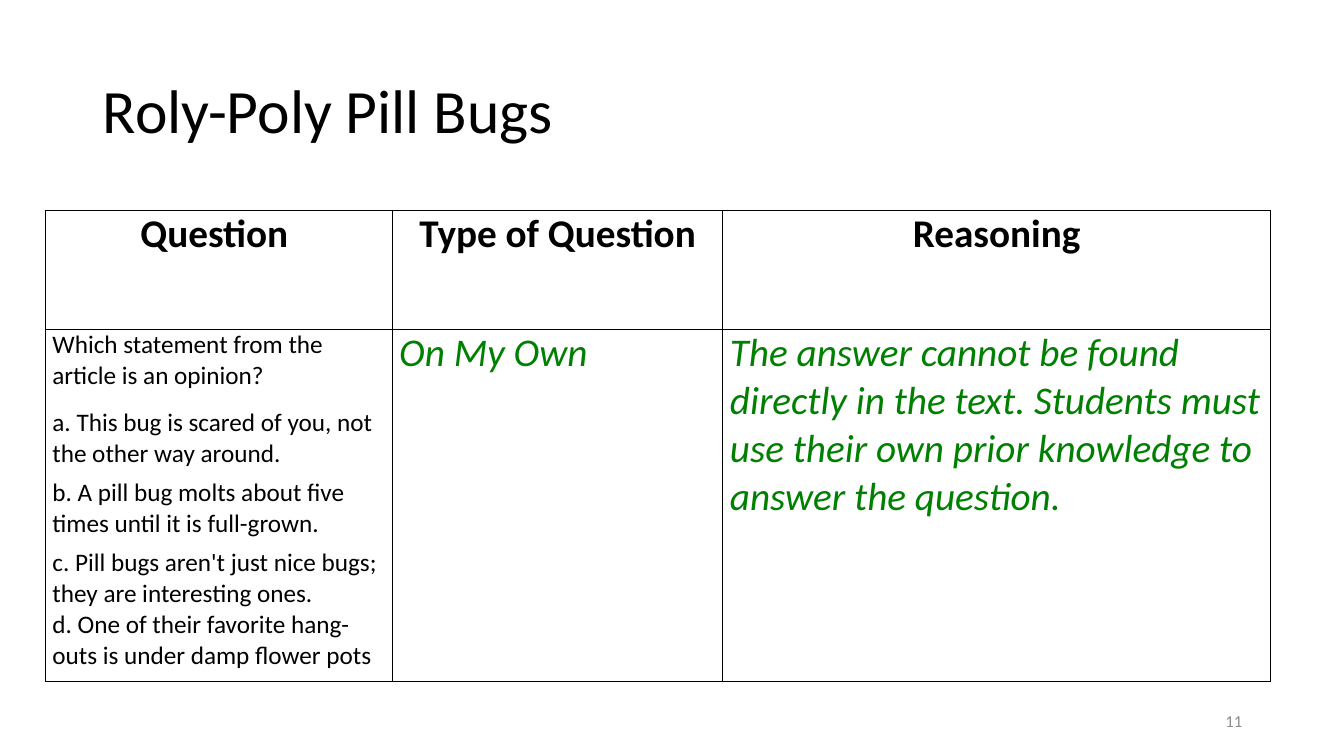
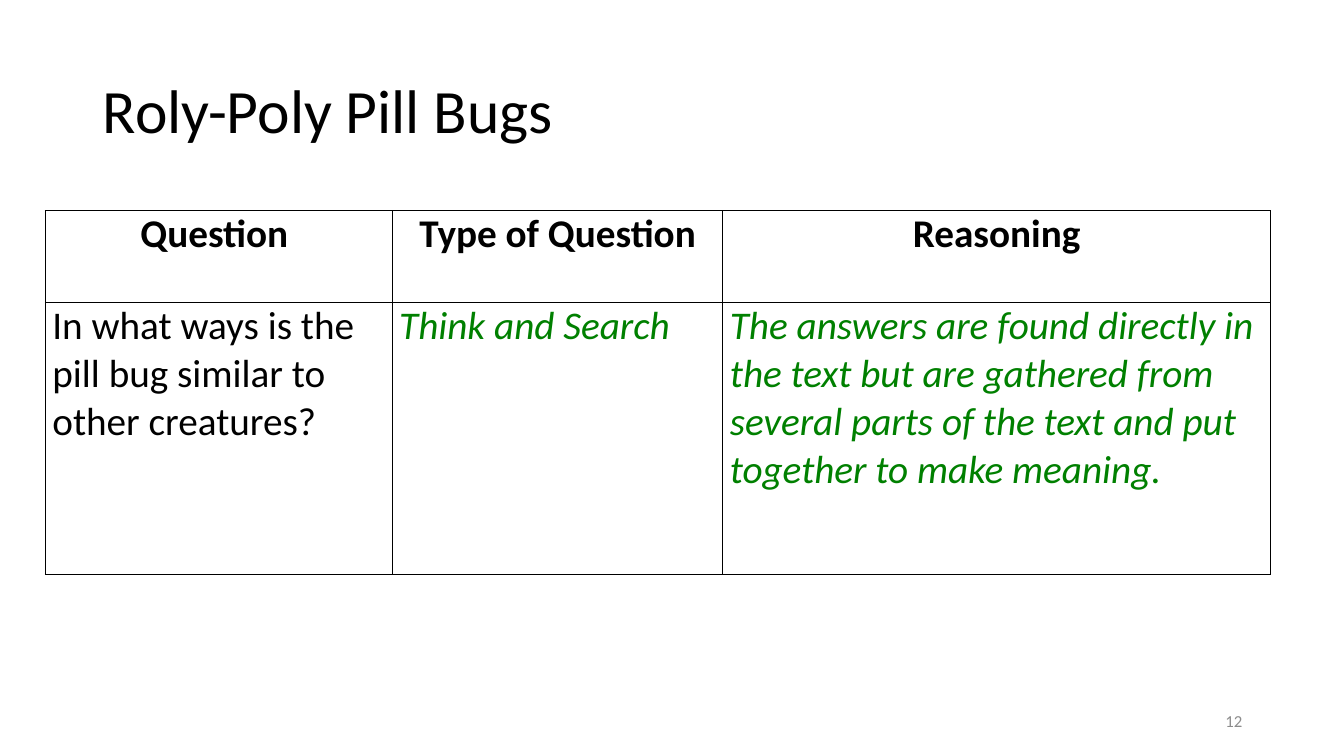
"""Build two question-type table slides about pill bugs."""
import pptx
import pptx.dml.color
import pptx.enum.text
import pptx.oxml
import pptx.oxml.ns
import pptx.util

Inches = pptx.util.Inches
Pt = pptx.util.Pt
ALIGN = pptx.enum.text.PP_ALIGN
MIDDLE = pptx.enum.text.MSO_ANCHOR.MIDDLE
COLORS = {"ink": "000000", "answer": "008000", "number": "8C8C8C"}
FONT = "Calibri"
TITLE = "Roly-Poly Pill Bugs"
HEADS = ["Question ", "Type of Question", "Reasoning"]
WIDTHS = [3.44, 3.28, 5.43]
SLIDES = [
    {
        "number": "11",
        "rows": [1.18, 3.49],
        "size": 18,
        "asks": [
            ("Which statement from the article is an opinion?", 0, 6),
            ("a. This bug is scared of you, not the other way around.", 6, 0),
            ("b. A pill bug molts about five times until it is full-grown.", 6, 0),
            ("c. Pill bugs aren't just nice bugs; they are interesting ones.", 6, 0),
            ("d. One of their favorite hang-outs is under damp flower pots", 0, 6),
        ],
        "answers": [
            "On My Own",
            "The answer cannot be found directly in the text. Students must "
            "use their own prior knowledge to answer the question.",
        ],
    },
    {
        "number": "12",
        "rows": [0.91, 2.7],
        "size": 28,
        "asks": [("In what ways is the pill bug similar to other creatures?", 0, 6)],
        "answers": [
            "Think and Search",
            "The answers are found directly in the text but are gathered from "
            "several parts of the text and put together to make meaning.",
        ],
    },
]


def write(frame, text, size=28, color="ink", bold=False, italic=False,
          align=ALIGN.LEFT, before=0, after=0, line=1.0):
    para = frame.paragraphs[0] if not frame.text else frame.add_paragraph()
    para.alignment = align
    para.space_before = Pt(before)
    para.space_after = Pt(after)
    para.line_spacing = line
    run = para.add_run()
    run.text = text
    font = run.font
    font.name = FONT
    font.size = Pt(size)
    font.bold = bold
    font.italic = italic
    font.color.rgb = pptx.dml.color.RGBColor.from_string(COLORS[color])


deck = pptx.Presentation()
deck.slide_width = Inches(13.33)
deck.slide_height = Inches(7.5)

for item in SLIDES:
    slide = deck.slides.add_slide(deck.slide_layouts[5])
    title = slide.shapes.title
    title.left, title.top = Inches(0.92), Inches(0.4)
    title.width, title.height = Inches(11.5), Inches(1.45)
    title.text_frame.vertical_anchor = MIDDLE
    title.text_frame.auto_size = pptx.enum.text.MSO_AUTO_SIZE.NONE
    write(title.text_frame, TITLE, size=44, line=0.9)

    table = slide.shapes.add_table(
        2, len(HEADS), Inches(0.45), Inches(2.09),
        Inches(sum(WIDTHS)), Inches(sum(item["rows"]))).table
    table.first_row = False
    table.horz_banding = False
    for column, width in zip(table.columns, WIDTHS):
        column.width = Inches(width)
    for row, height in zip(table.rows, item["rows"]):
        row.height = Inches(height)

    for cell in table.iter_cells():
        cell.margin_left = cell.margin_right = Inches(0.07)
        cell.margin_top = cell.margin_bottom = 0
        props = cell._tc.get_or_add_tcPr()
        for side in ("lnL", "lnR", "lnT", "lnB"):
            props.append(pptx.oxml.parse_xml(
                f'<a:{side} {pptx.oxml.ns.nsdecls("a")} w="{Pt(1)}"><a:solidFill>'
                f'<a:srgbClr val="{COLORS["ink"]}"/></a:solidFill></a:{side}>'))
        cell.fill.background()

    for col, head in enumerate(HEADS):
        write(table.cell(0, col).text_frame, head, bold=True,
              align=ALIGN.CENTER, after=6)
    for text, before, after in item["asks"]:
        write(table.cell(1, 0).text_frame, text, size=item["size"],
              before=before, after=after)
    for col, text in enumerate(item["answers"], 1):
        write(table.cell(1, col).text_frame, text, color="answer",
              italic=True, after=6)

    foot = slide.shapes.add_textbox(
        Inches(9.42), Inches(6.95), Inches(3), Inches(0.4)).text_frame
    foot.word_wrap = True
    foot.vertical_anchor = MIDDLE
    write(foot, item["number"], size=12, color="number", align=ALIGN.RIGHT)

deck.save("out.pptx")
